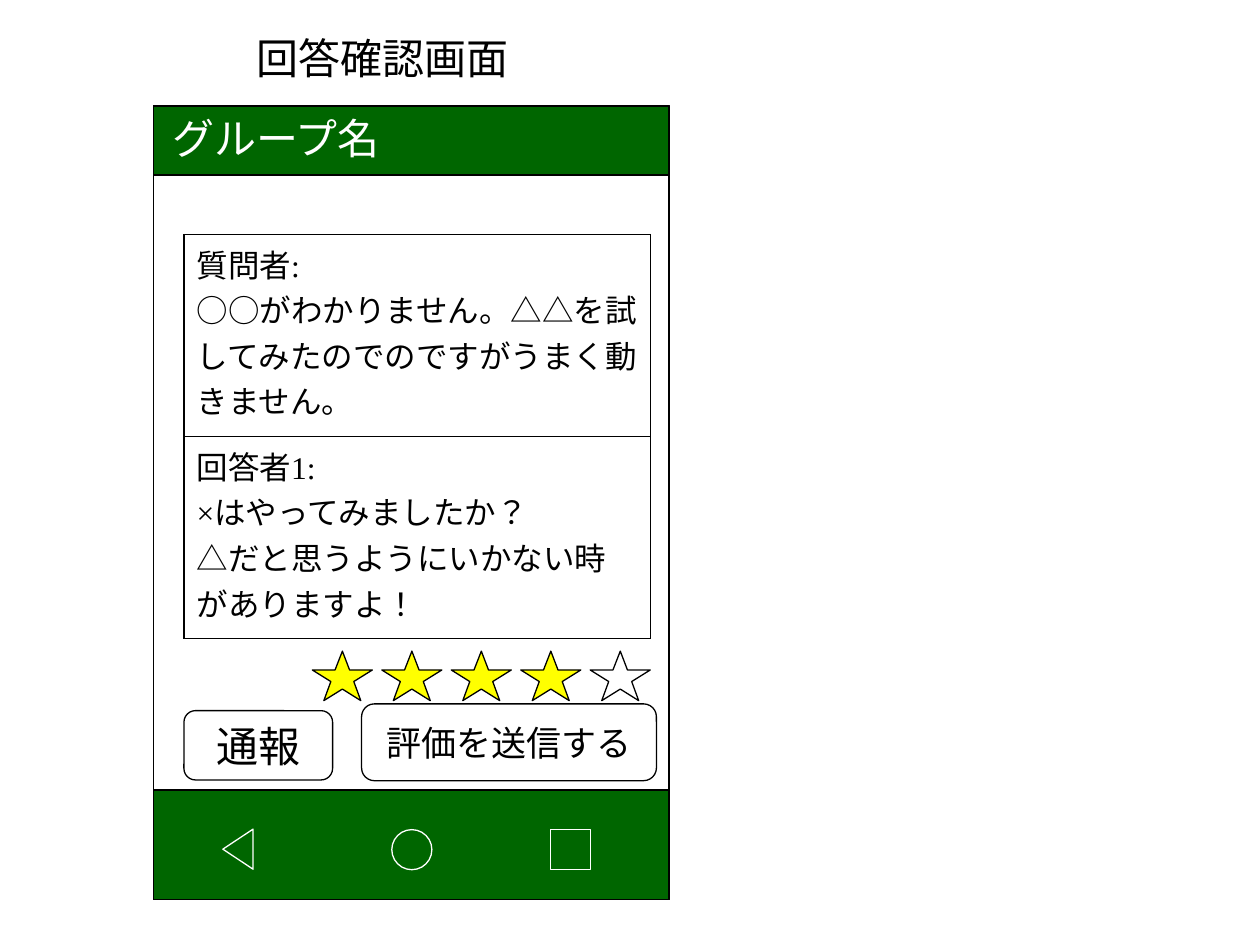
from typing import NamedTuple, Optional

import pptx
import pptx.dml.color
import pptx.enum.lang
import pptx.enum.shapes
import pptx.enum.text
import pptx.oxml
import pptx.oxml.ns
import pptx.util

Pt = pptx.util.Pt
Color = pptx.dml.color.RGBColor
Preset = pptx.enum.shapes.MSO_SHAPE
Align = pptx.enum.text.PP_ALIGN
Anchor = pptx.enum.text.MSO_ANCHOR

BLACK = Color(0x00, 0x00, 0x00)
WHITE = Color(0xFF, 0xFF, 0xFF)
GREEN = Color(0x00, 0x66, 0x00)
YELLOW = Color(0xFF, 0xFF, 0x00)

FONT = "Times New Roman"
LINE_WIDTH = 0.75
PHONE_LEFT, PHONE_TOP, PHONE_WIDTH, PHONE_HEIGHT = 87.84, 60.48, 294.48, 453.6
HEADER_HEIGHT = 39.6
NAVIGATION_TOP, NAVIGATION_HEIGHT = 451.44, 62.64

TABLE_LEFT, TABLE_TOP, TABLE_WIDTH, ROW_HEIGHT = 105.12, 133.92, 266.4, 115.5
POSTS = [
    ["質問者:", "○○がわかりません。△△を試してみたのでのですがうまく動きません。"],
    ["回答者1:", "×はやってみましたか？", "△だと思うようにいかない時がありますよ！"],
]

STAR_LEFT, STAR_TOP, STAR_PITCH = 178.5, 372.1, 39.7
STAR_COUNT, RATING = 5, 4
STAR_POINTS = [
    (0, 10.8), (13, 10.8), (17.2, 0), (21.3, 10.8), (34.3, 10.8),
    (23.7, 17.4), (27.7, 28.3), (17.2, 21.7), (6.6, 28.3), (10.6, 17.4),
]


class Box(NamedTuple):
    preset: int
    left: float
    top: float
    width: float
    height: float
    fill: Optional[Color] = None
    line: Color = BLACK
    rotation: float = 0


class Label(NamedTuple):
    text: str
    left: float
    top: float
    width: float
    height: float
    color: Color


class Button(NamedTuple):
    text: str
    size: float
    box: Box


PANELS = [
    Box(Preset.RECTANGLE, PHONE_LEFT, NAVIGATION_TOP, PHONE_WIDTH, NAVIGATION_HEIGHT, GREEN),
    Box(Preset.RECTANGLE, PHONE_LEFT, PHONE_TOP, PHONE_WIDTH, HEADER_HEIGHT, GREEN),
    Box(Preset.RECTANGLE, PHONE_LEFT, PHONE_TOP, PHONE_WIDTH, PHONE_HEIGHT),
]
NAVIGATION_ICONS = [
    Box(Preset.ISOSCELES_TRIANGLE, 124.56, 476.6, 22.9, 17.3, line=WHITE, rotation=270),
    Box(Preset.OVAL, 223.92, 474.1, 22.9, 22.9, line=WHITE),
    Box(Preset.RECTANGLE, 314.64, 474.1, 22.9, 22.9, line=WHITE),
]
LABELS = [
    Label("回答確認画面", 139.68, 15.12, 158.4, 36, BLACK),
    Label("グループ名", 91.44, 60.48, 133.92, 36, WHITE),
]
BUTTONS = [
    Button("評価を送信する", 20, Box(Preset.ROUNDED_RECTANGLE, 206.64, 402.2, 168.48, 43.9)),
    Button("通報", 24, Box(Preset.ROUNDED_RECTANGLE, 105.12, 406.1, 84.96, 39.6)),
]


def style_shape(shape, fill: Optional[Color], line: Color) -> None:
    shape.shadow.inherit = False
    if fill is None:
        shape.fill.background()
    else:
        shape.fill.solid()
        shape.fill.fore_color.rgb = fill
    shape.line.color.rgb = line
    shape.line.width = Pt(LINE_WIDTH)


def add_box(slide, box: Box):
    shape = slide.shapes.add_shape(
        box.preset, Pt(box.left), Pt(box.top), Pt(box.width), Pt(box.height))
    shape.rotation = box.rotation
    style_shape(shape, box.fill, box.line)
    return shape


def add_run(paragraph, text: str, size: float, color: Color = BLACK) -> None:
    run = paragraph.add_run()
    run.text = text
    run.font.name = FONT
    run.font.size = Pt(size)
    run.font.color.rgb = color
    run.font.language_id = pptx.enum.lang.MSO_LANGUAGE_ID.JAPANESE


def add_label(slide, label: Label) -> None:
    shape = slide.shapes.add_textbox(
        Pt(label.left), Pt(label.top), Pt(label.width), Pt(label.height))
    frame = shape.text_frame
    frame.word_wrap = False
    frame.auto_size = pptx.enum.text.MSO_AUTO_SIZE.SHAPE_TO_FIT_TEXT
    add_run(frame.paragraphs[0], label.text, 24, label.color)


def add_header_rule(slide) -> None:
    top = Pt(PHONE_TOP + HEADER_HEIGHT)
    rule = slide.shapes.add_connector(
        pptx.enum.shapes.MSO_CONNECTOR.STRAIGHT,
        Pt(PHONE_LEFT), top, Pt(PHONE_LEFT + PHONE_WIDTH), top)
    rule.line.color.rgb = BLACK
    rule.line.width = Pt(LINE_WIDTH)
    rule._element.spPr.append(pptx.oxml.parse_xml(
        f'<a:effectLst {pptx.oxml.ns.nsdecls("a")}/>'))


def set_borders(cell) -> None:
    """Draw a thin black line on all four sides of a table cell."""
    properties = cell._tc.get_or_add_tcPr()
    for index, side in enumerate(("lnL", "lnR", "lnT", "lnB")):
        properties.insert(index, pptx.oxml.parse_xml(
            f'<a:{side} {pptx.oxml.ns.nsdecls("a")} w="{Pt(LINE_WIDTH)}">'
            f'<a:solidFill><a:srgbClr val="{BLACK}"/></a:solidFill></a:{side}>'))


def add_posts(slide) -> None:
    table = slide.shapes.add_table(
        len(POSTS), 1, Pt(TABLE_LEFT), Pt(TABLE_TOP),
        Pt(TABLE_WIDTH), Pt(ROW_HEIGHT * len(POSTS))).table
    table.first_row = False
    table.horz_banding = False
    for row, post in enumerate(POSTS):
        table.rows[row].height = Pt(ROW_HEIGHT)
        cell = table.cell(row, 0)
        cell.fill.background()
        set_borders(cell)
        frame = cell.text_frame
        for index, text in enumerate(post):
            paragraph = frame.add_paragraph() if index else frame.paragraphs[0]
            add_run(paragraph, text, 18)


def add_star(slide, left: float, fill: Optional[Color]) -> None:
    points = [(Pt(left + x), Pt(STAR_TOP + y)) for x, y in STAR_POINTS]
    builder = slide.shapes.build_freeform(*points[0])
    builder.add_line_segments(points[1:], close=True)
    style_shape(builder.convert_to_shape(), fill, BLACK)


def add_button(slide, button: Button) -> None:
    frame = add_box(slide, button.box).text_frame
    frame.word_wrap = True
    frame.vertical_anchor = Anchor.MIDDLE
    paragraph = frame.paragraphs[0]
    paragraph.alignment = Align.CENTER
    add_run(paragraph, button.text, button.size)


def main() -> None:
    presentation = pptx.Presentation()
    presentation.slide_width = Pt(720)
    presentation.slide_height = Pt(540)
    slide = presentation.slides.add_slide(presentation.slide_layouts[6])

    for panel in PANELS:
        add_box(slide, panel)
    add_header_rule(slide)
    for icon in NAVIGATION_ICONS:
        add_box(slide, icon)
    for label in LABELS:
        add_label(slide, label)
    add_posts(slide)
    for index in range(STAR_COUNT):
        add_star(slide, STAR_LEFT + index * STAR_PITCH, YELLOW if index < RATING else None)
    for button in BUTTONS:
        add_button(slide, button)

    presentation.save("out.pptx")


if __name__ == "__main__":
    main()
